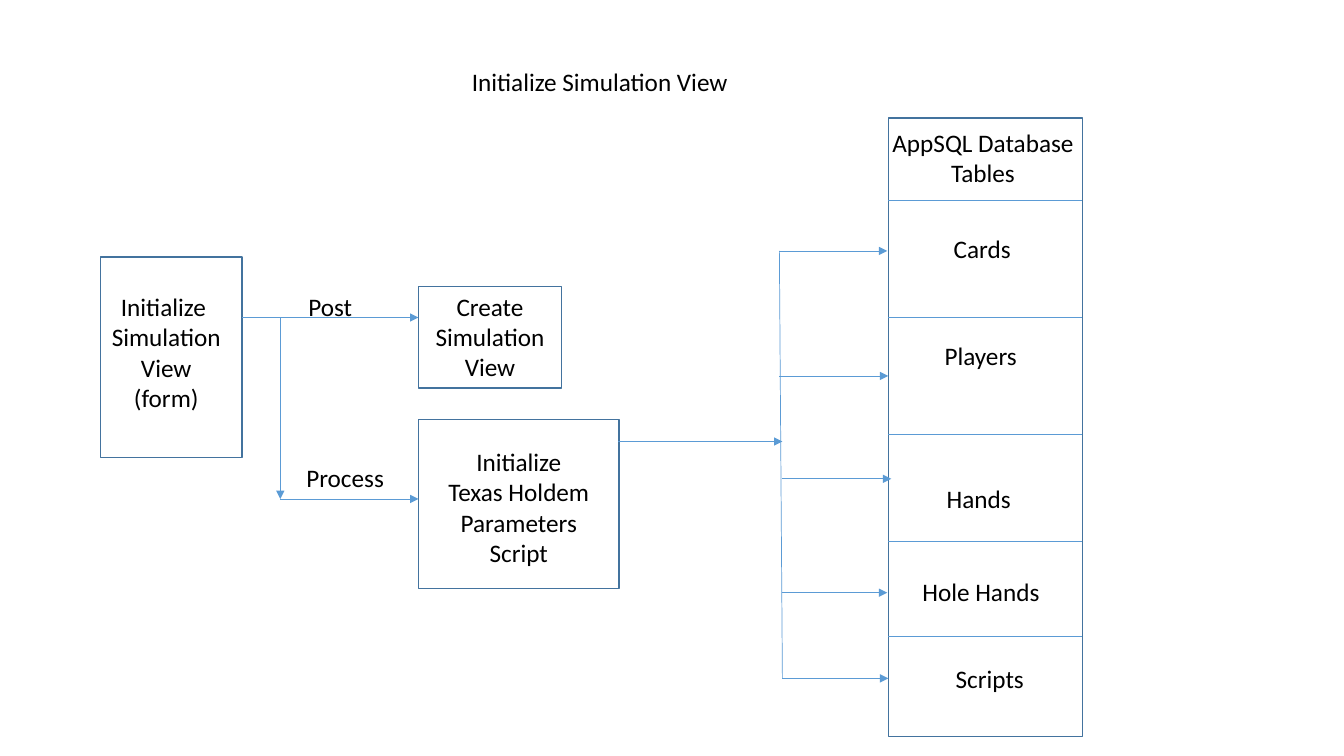
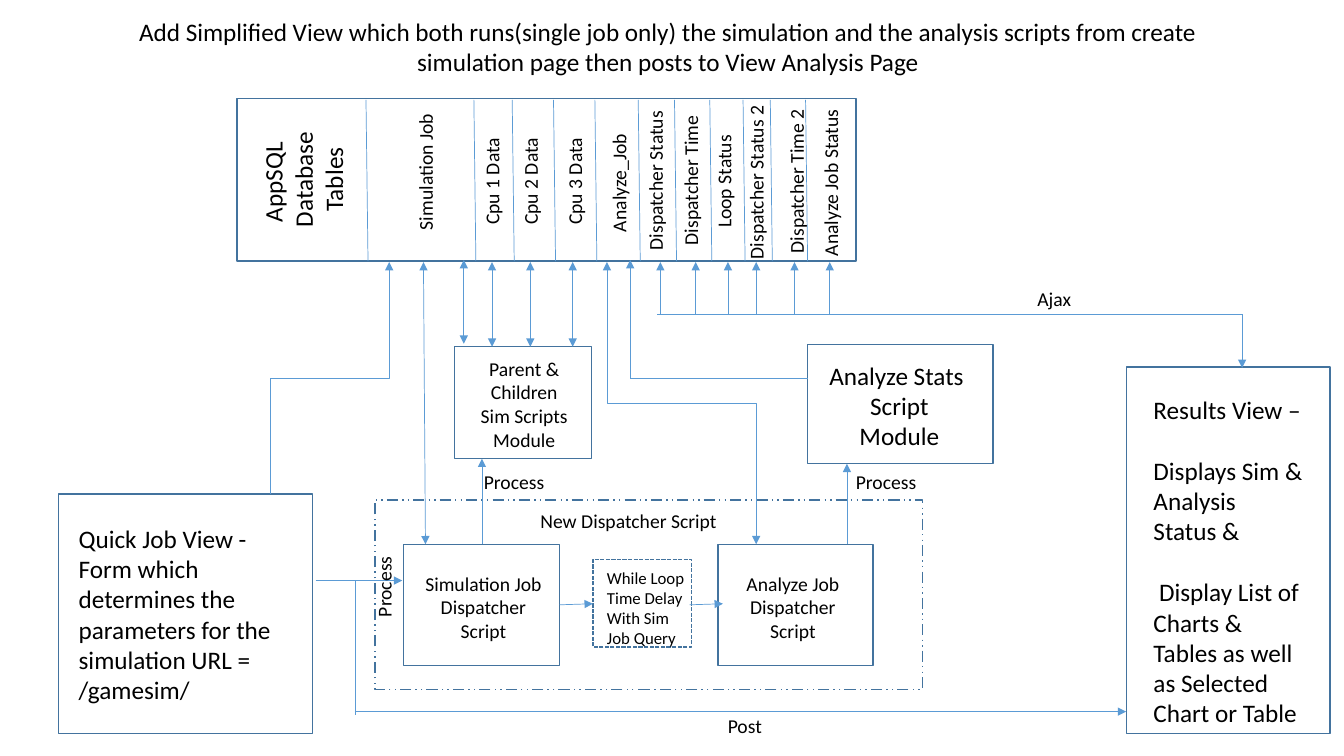
"""Build two flow diagrams of a simulation site."""
from dataclasses import dataclass

from lxml.etree import SubElement
from pptx import Presentation
from pptx.dml.color import RGBColor
from pptx.enum.dml import MSO_LINE
from pptx.enum.shapes import MSO_CONNECTOR, MSO_SHAPE
from pptx.enum.text import MSO_ANCHOR, MSO_AUTO_SIZE, PP_ALIGN
from pptx.oxml.ns import qn
from pptx.util import Inches, Pt


@dataclass(frozen=True)
class Theme:
    ink: RGBColor = RGBColor.from_string("000000")
    edge: RGBColor = RGBColor.from_string("43739E")
    wire: RGBColor = RGBColor.from_string("5B9BD5")
    font: str = "Calibri"
    big: int = 18
    mid: int = 14
    small: int = 12
    rim: float = 1
    thin: float = 0.5


LOOK = Theme()
MID, LEFT = PP_ALIGN.CENTER, PP_ALIGN.LEFT
PAD = (0.1, 0.05, 0.1)
SPAN, DEEP = 2.3, 0.34

FORM = {
    "title": ("Initialize Simulation View", (4.58, 0.61, 2.87, 0.4), LEFT),
    "boxes": [
        ((1, 2.55, 1.4, 1.99), ["Initialize ", "Simulation View", "(form)"],
         LOOK.big, MID, (0.1, 0.34, 0.2)),
        ((4.15, 2.84, 1.42, 1.01), ["Create", "Simulation", "View"],
         LOOK.big, MID, PAD),
        ((4.15, 4.16, 1.99, 1.68),
         ["Initialize", "Texas Holdem", "Parameters", "Script"],
         LOOK.big, MID, (0.1, 0.27, 0.1)),
        ((8.81, 1.17, 1.93, 6.14), ["AppSQL Database", "Tables"],
         LOOK.big, MID, (0.03, 0.09, 0.08)),
    ],
    "notes": [
        ("Post", 2.96, 2.84, LOOK.big), ("Process", 2.94, 4.54, LOOK.big),
        ("Cards", 9.36, 2.27, LOOK.big), ("Players", 9.27, 3.33, LOOK.big),
        ("Hands", 9.29, 4.75, LOOK.big), ("Hole Hands", 9.05, 5.67, LOOK.big),
        ("Scripts", 9.38, 6.53, LOOK.big),
    ],
    "plain": [(8.81, y, 10.73, y) for y in (1.99, 3.15, 4.31, 5.37, 6.31)]
    + [(7.73, 2.49, 7.76, 6.73)],
    "arrows": [
        (2.4, 3.15, 4.15, 3.15), (2.78, 3.15, 2.78, 4.95),
        (2.78, 4.95, 4.15, 4.95), (6.13, 4.38, 7.76, 4.38),
        (7.73, 2.49, 8.8, 2.49), (7.73, 3.73, 8.81, 3.73),
        (7.76, 4.75, 8.84, 4.75), (7.76, 5.88, 8.8, 5.88),
        (7.76, 6.73, 8.81, 6.73),
    ],
}

JOB = {
    "title": ("Add Simplified View which both runs(single job only) the "
              "simulation and the analysis scripts from create simulation "
              "page then posts to View Analysis Page",
              (1.06, 0.11, 11.13, 0.71), MID),
    "boxes": [
        ((2.35, 0.98, 6.14, 1.61), [], LOOK.big, MID, PAD),
        ((0.58, 4.9, 2.52, 2.38),
         ["Quick Job View - Form which determines the parameters for the "
          "simulation URL = /gamesim/"], LOOK.big, LEFT, (0.2, 0.29, 0.07)),
        ((4, 5.4, 1.55, 1.2), ["Simulation Job Dispatcher Script"],
         LOOK.mid, MID, (0.15, 0.27, 0.11)),
        ((7.12, 5.4, 1.54, 1.2), ["Analyze Job Dispatcher Script"],
         LOOK.mid, MID, (0.1, 0.27, 0.15)),
        ((11.17, 3.64, 2.02, 3.64),
         ["Results View –", "Displays Sim & Analysis Status &",
          " Display List of Charts & Tables as well as Selected Chart or Table"],
         LOOK.big, LEFT, (0.27, 0.27, 0.27), {"gap": 22}),
        ((3.72, 4.96, 5.43, 1.88), ["New Dispatcher Script"],
         LOOK.mid, LEFT, (1.64, 0.09, 0.1),
         {"dash": MSO_LINE.DASH_DOT_DOT}),
        ((5.88, 5.55, 0.98, 0.87),
         ["While Loop Time Delay", "With Sim Job Query"],
         LOOK.small, LEFT, (0.14, 0.08, 0), {"dash": MSO_LINE.SQUARE_DOT}),
        ((4.51, 3.44, 1.36, 1.11),
         ["Parent & Children Sim Scripts", "Module"],
         LOOK.mid, MID, (0.21, 0.1, 0.19)),
        ((8.01, 3.42, 1.84, 1.18), ["Analyze Stats ", "Script", "Module"],
         LOOK.big, MID, (0.13, 0.15, 0.15)),
    ],
    "notes": [
        ("Ajax", 10.19, 2.8, LOOK.mid), ("Post", 7.12, 7.03, LOOK.mid),
        ("Process", 4.7, 4.61, LOOK.mid), ("Process", 8.39, 4.61, LOOK.mid),
    ],
    "heads": [(["AppSQL ", "Database", "Tables"], 3.01, 1.78, 1.01)],
    "turned": [
        ("Simulation Job", 4.22, 2.38), ("Cpu 1 Data", 4.88, 2.33),
        ("Cpu 2 Data", 5.26, 2.33), ("Cpu 3 Data", 5.7, 2.33),
        ("Analyze_Job", 6.14, 2.4), ("Dispatcher Status", 6.5, 2.58),
        ("Dispatcher Time", 6.85, 2.53), ("Loop Status", 7.18, 2.36),
        ("Dispatcher Status 2", 7.5, 2.67), ("Dispatcher Time 2", 7.9, 2.61),
        ("Analyze Job Status", 8.24, 2.64), ("Process", 3.81, 6.22),
    ],
    "plain": [(x, 0.99, x + 0.02, 2.59) for x in
              (3.63, 4.7, 5.08, 5.49, 5.9, 6.33, 6.69, 7.04, 7.37, 7.64, 7.99)]
    + [(3.52, 7.09, 3.52, 5.75), (12.32, 3.12, 6.52, 3.12),
       (8.01, 3.75, 6.25, 3.75)],
    "arrows": [(x, 3.12, x, 2.6) for x in
               (6.55, 6.9, 7.22, 7.5, 7.88, 8.23)]
    + [(3.13, 5.76, 3.99, 5.76), (4.78, 5.4, 4.78, 4.55),
       (3.52, 7.06, 11.17, 7.06), (12.32, 3.12, 12.32, 3.65),
       (5.55, 6, 5.88, 5.99), (6.84, 6, 7.17, 5.99),
       (6.25, 3.75, 6.25, 2.58), (8.4, 5.4, 8.4, 4.6)],
    "double": [(x, 2.6, x, 3.44) for x in (4.88, 5.26, 5.68)]
    + [(4.6, 2.58, 4.6, 3.41), (4.22, 5.4, 4.2, 2.6)],
    "bends": [(2.68, 4.9, 3.86, 2.6, ("tail",)),
              (7.5, 5.4, 6.02, 2.6, ("head", "tail"))],
}


def style(item, **form):
    for name, value in form.items():
        setattr(item, name, value)


def inch(nums):
    return [Inches(n) for n in nums]


def write(shape, lines, size, align, pad=PAD, gap=0):
    frame = shape.text_frame
    left, top, right = inch(pad)
    style(frame, word_wrap=True, auto_size=MSO_AUTO_SIZE.NONE,
          vertical_anchor=MSO_ANCHOR.TOP, margin_left=left, margin_top=top,
          margin_right=right, margin_bottom=0)
    for i, line in enumerate(lines):
        para = frame.add_paragraph() if i else frame.paragraphs[0]
        style(para, alignment=align, space_before=Pt(gap if i else 0))
        run = para.add_run()
        run.text = line
        style(run.font, name=LOOK.font, size=Pt(size), bold=False)
        run.font.color.rgb = LOOK.ink


def box(slide, place, lines, size, align, pad, more=None):
    more = more or {}
    shape = slide.shapes.add_shape(MSO_SHAPE.RECTANGLE, *inch(place))
    shape.shadow.inherit = False
    shape.fill.background()
    shape.line.color.rgb = LOOK.edge
    style(shape.line, width=Pt(LOOK.rim), dash_style=more.get("dash"))
    write(shape, lines, size, align, pad, more.get("gap", 0))


def note(slide, place, lines, size, align=LEFT, turn=0):
    shape = slide.shapes.add_textbox(*inch(place))
    shape.rotation = turn
    write(shape, lines, size, align)


def turned(slide, lines, mid_x, mid_y, deep, size, align):
    place = (mid_x - SPAN / 2, mid_y - deep / 2, SPAN, deep)
    note(slide, place, lines, size, align, 270)


def wire(slide, ends, tips=(), kind=MSO_CONNECTOR.STRAIGHT):
    link = slide.shapes.add_connector(kind, *inch(ends))
    link.line.color.rgb = LOOK.wire
    link.line.width = Pt(LOOK.thin)
    props = link._element.spPr
    for tip in tips:
        SubElement(props.find(qn("a:ln")), qn(f"a:{tip}End"), type="triangle")
    SubElement(props, qn("a:effectLst"))
    return link


def bend(slide, x1, y1, x2, y2, tips):
    mid_x, mid_y = (x1 + x2) / 2, (y1 + y2) / 2
    run, rise = (x2 - x1) / 2, (y1 - y2) / 2
    ends = (mid_x - rise, mid_y - run, mid_x + rise, mid_y + run)
    link = wire(slide, ends, tips, MSO_CONNECTOR.ELBOW)
    link._element.spPr.find(qn("a:xfrm")).set("rot", str(270 * 60000))


def draw(deck, data):
    slide = deck.slides.add_slide(deck.slide_layouts[5])
    text, place, align = data["title"]
    title = slide.shapes.title
    style(title, **dict(zip(("left", "top", "width", "height"), inch(place))))
    write(title, [text], LOOK.big, align)
    for row in data["boxes"]:
        box(slide, *row)
    for kind, tips in (("plain", ()), ("arrows", ("tail",)),
                       ("double", ("head", "tail"))):
        for ends in data.get(kind, []):
            wire(slide, ends, tips)
    for row in data.get("bends", []):
        bend(slide, *row)
    for text, x, y, size in data["notes"]:
        note(slide, (x, y, 1.6, 0.4), [text], size)
    for lines, x, y, deep in data.get("heads", []):
        turned(slide, lines, x, y, deep, LOOK.big, MID)
    for text, x, foot in data.get("turned", []):
        turned(slide, [text], x, foot - SPAN / 2, DEEP, LOOK.mid, LEFT)


def main():
    deck = Presentation()
    style(deck, slide_width=Inches(13.33), slide_height=Inches(7.5))
    for data in (FORM, JOB):
        draw(deck, data)
    deck.save("out.pptx")


if __name__ == "__main__":
    main()
